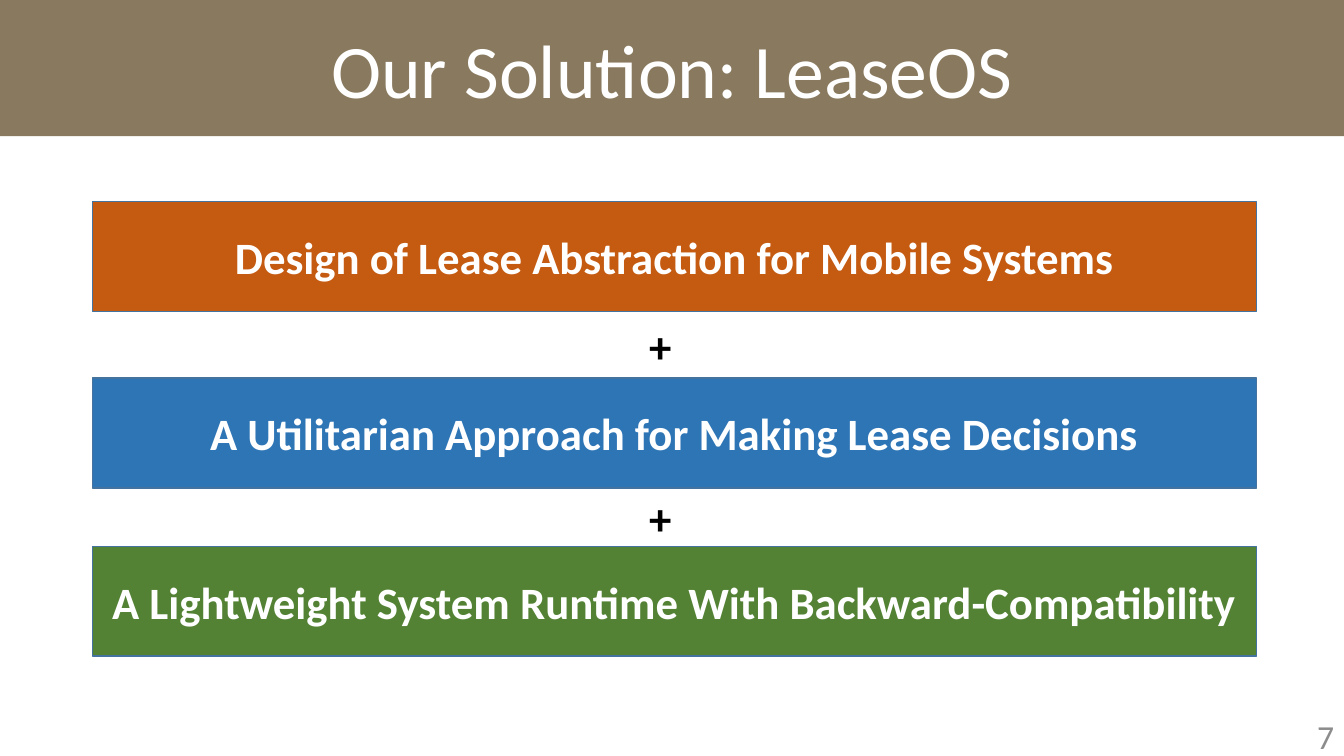
from pptx import Presentation
from pptx.dml.color import RGBColor
from pptx.enum.shapes import MSO_SHAPE
from pptx.enum.text import MSO_ANCHOR, MSO_AUTO_SIZE, PP_ALIGN
from pptx.util import Inches, Pt

PARTS = [
    ("Design of Lease Abstraction for Mobile Systems", "C55A11", 2),
    ("A Utilitarian Approach for Making Lease Decisions", "2E75B6", 3.75),
    ("A Lightweight System Runtime With Backward-Compatibility", "548235", 5.42),
]
PLUS_TOPS = [3.11, 4.82]


def color(value):
    return RGBColor.from_string(value)


def write(shape, text, size, hex_color, align, anchor=MSO_ANCHOR.MIDDLE,
          bold=False, wrap=True):
    tf = shape.text_frame
    tf.auto_size = MSO_AUTO_SIZE.NONE if wrap else MSO_AUTO_SIZE.SHAPE_TO_FIT_TEXT
    tf.word_wrap = wrap
    tf.vertical_anchor = anchor
    p = tf.paragraphs[0]
    p.alignment = align
    r = p.add_run()
    r.text = text
    r.font.name = "Calibri"
    r.font.size = Pt(size)
    r.font.bold = bold
    r.font.color.rgb = color(hex_color)


def fill(shape, hex_color):
    shape.fill.solid()
    shape.fill.fore_color.rgb = color(hex_color)


def add_title(s, text, left, top, width, height):
    title = s.shapes.title
    title.left, title.top = Inches(left), Inches(top)
    title.width, title.height = Inches(width), Inches(height)
    fill(title, "89795E")
    write(title, text, 54, "FFFFFF", PP_ALIGN.CENTER)


def add_part(s, text, hex_color, left, top, width, height):
    sp = s.shapes.add_shape(MSO_SHAPE.RECTANGLE, Inches(left), Inches(top),
                            Inches(width), Inches(height))
    sp.shadow.inherit = False
    fill(sp, hex_color)
    sp.line.color.rgb = color("43739E")
    sp.line.width = Pt(1)
    write(sp, text, 32, "FFFFFF", PP_ALIGN.CENTER, bold=True)


def add_plus(s, left, top, width, height):
    sp = s.shapes.add_textbox(Inches(left), Inches(top), Inches(width), Inches(height))
    write(sp, "+", 32, "000000", PP_ALIGN.LEFT, MSO_ANCHOR.TOP, bold=True, wrap=False)


def add_number(s, text, left, top, width, height):
    sp = s.shapes.add_textbox(Inches(left), Inches(top), Inches(width), Inches(height))
    write(sp, text, 24, "8C8C8C", PP_ALIGN.RIGHT)


def main():
    prs = Presentation()
    prs.slide_width, prs.slide_height = Inches(13.33), Inches(7.5)
    s = prs.slides.add_slide(prs.slide_layouts[5])
    add_title(s, "Our Solution: LeaseOS", 0, 0, 13.33, 1.35)
    for text, hex_color, top in PARTS:
        add_part(s, text, hex_color, 0.92, top, 11.54, 1.09)
    for top in PLUS_TOPS:
        add_plus(s, 6.34, top, 0.43, 0.64)
    add_number(s, "7", 10.33, 7.1, 3, 0.4)
    prs.save("out.pptx")


if __name__ == "__main__":
    main()
